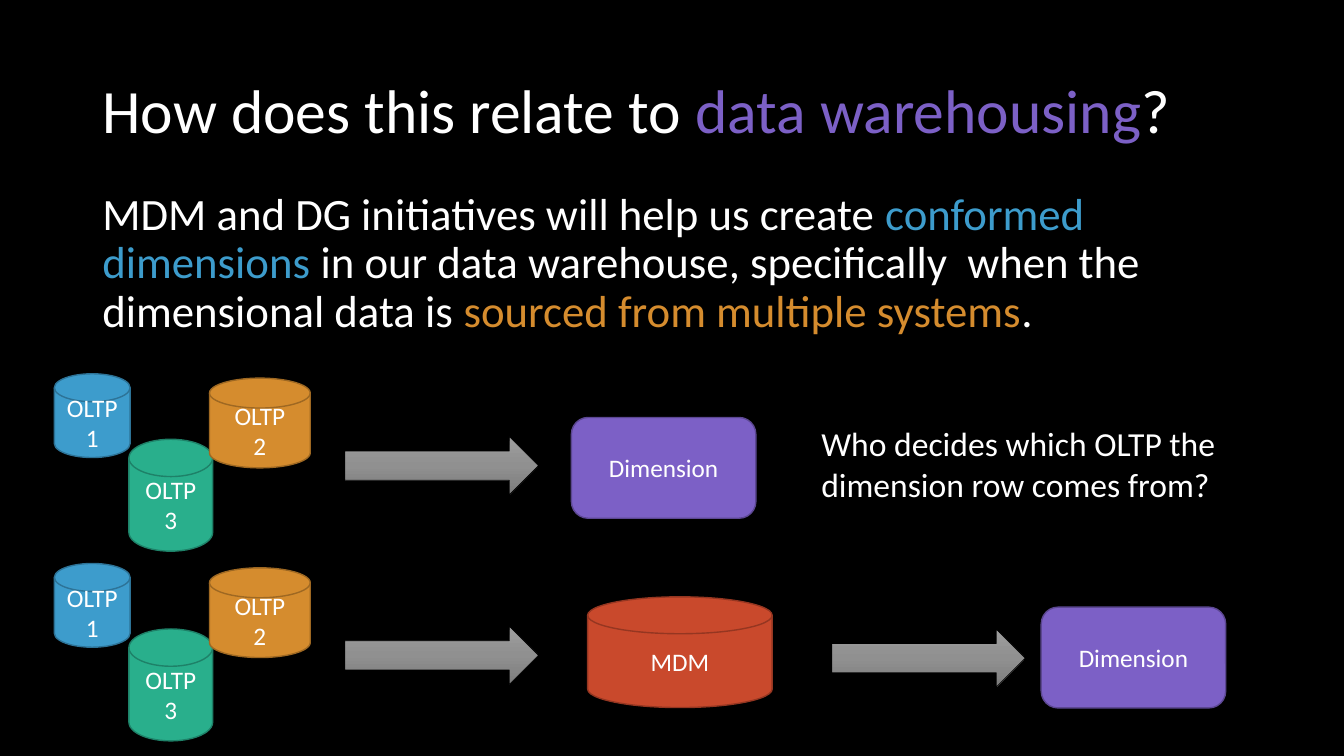
from copy import deepcopy
from dataclasses import dataclass

from pptx import Presentation
from pptx.dml.color import RGBColor
from pptx.enum.shapes import MSO_SHAPE
from pptx.enum.text import MSO_ANCHOR, PP_ALIGN
from pptx.oxml.ns import qn
from pptx.shapes.autoshape import Shape
from pptx.slide import Slide
from pptx.text.text import TextFrame
from pptx.util import Cm, Pt

FONT = "Calibri"
ROW_PITCH = 4.78
COLORS = {
    "black": "000000",
    "white": "FFFFFF",
    "blue": "3D9CCC",
    "blue_edge": "2D7397",
    "green": "29AF8C",
    "green_edge": "1E8168",
    "orange": "D58C2E",
    "orange_edge": "9E6822",
    "purple": "7C60C6",
    "purple_edge": "5C4792",
    "red": "C9492C",
    "red_edge": "953621",
    "gray_light": "9D9D9D",
    "gray_mid": "909090",
    "gray_dark": "7C7C7C",
}


@dataclass(frozen=True)
class Area:
    left: float
    top: float
    width: float
    height: float


@dataclass(frozen=True)
class Node:
    label: str
    color: str
    area: Area
    kind: MSO_SHAPE = MSO_SHAPE.FLOWCHART_MAGNETIC_DISK


@dataclass(frozen=True)
class Phrase:
    text: str
    color: str = "white"


SOURCES = (
    Node("OLTP\v1", "blue", Area(1.37, 9.42, 1.91, 2.11)),
    Node("OLTP\v3", "green", Area(3.25, 11.07, 2.11, 2.82)),
    Node("OLTP\v2", "orange", Area(5.28, 9.53, 2.54, 2.26)),
)
TARGETS = (
    Node("Dimension", "purple", Area(14.4, 10.52, 4.65, 2.54), MSO_SHAPE.ROUNDED_RECTANGLE),
    Node("Dimension", "purple", Area(26.24, 15.3, 4.65, 2.54), MSO_SHAPE.ROUNDED_RECTANGLE),
    Node("MDM", "red", Area(14.81, 15.04, 4.65, 2.79)),
)
ARROWS = ((8.69, 11), (8.69, 11 + ROW_PITCH), (20.96, 15.85))
TITLE = (
    Phrase("How does this relate to "),
    Phrase("data warehousing", "purple"),
    Phrase("?"),
)
STATEMENT = (
    Phrase("MDM and DG initiatives will help us create "),
    Phrase("conformed dimensions", "blue"),
    Phrase(" in our data warehouse, specifically  when the dimensional data is "),
    Phrase("sourced from multiple systems", "orange"),
    Phrase("."),
)
QUESTION = "Who decides which OLTP the \vdimension row comes from?"


def color_of(name: str) -> RGBColor:
    """Look up a named colour."""
    return RGBColor.from_string(COLORS[name])


def lengths(area: Area) -> tuple[Cm, Cm, Cm, Cm]:
    """Convert an area to slide lengths."""
    return Cm(area.left), Cm(area.top), Cm(area.width), Cm(area.height)


def format_text(frame: TextFrame, size: int) -> None:
    """Give every run the slide font, a size and white."""
    for para in frame.paragraphs:
        for span in para.runs:
            span.font.name = FONT
            span.font.size = Pt(size)
            span.font.color.rgb = color_of("white")


def write_phrases(frame: TextFrame, phrases: tuple[Phrase, ...], size: int) -> None:
    """Write one left-aligned paragraph with coloured phrases."""
    frame.word_wrap = True
    para = frame.paragraphs[0]
    para.alignment = PP_ALIGN.LEFT
    para.line_spacing = 0.9
    for phrase in phrases:
        para.add_run().text = phrase.text
    format_text(frame, size)
    for span, phrase in zip(para.runs, phrases):
        span.font.color.rgb = color_of(phrase.color)


def add_shape(slide: Slide, kind: MSO_SHAPE, area: Area, edge: str, weight: float) -> Shape:
    """Add an outlined shape without a shadow."""
    shape = slide.shapes.add_shape(kind, *lengths(area))
    shape.shadow.inherit = False
    shape.line.color.rgb = color_of(edge)
    shape.line.width = Pt(weight)
    return shape


def add_node(slide: Slide, node: Node, drop: float = 0) -> None:
    """Add a labelled system, moved down by the given drop."""
    area = Area(node.area.left, node.area.top + drop, node.area.width, node.area.height)
    shape = add_shape(slide, node.kind, area, f"{node.color}_edge", 1)
    shape.fill.solid()
    shape.fill.fore_color.rgb = color_of(node.color)
    frame = shape.text_frame
    frame.word_wrap = True
    frame.vertical_anchor = MSO_ANCHOR.MIDDLE
    frame.paragraphs[0].text = node.label
    frame.paragraphs[0].alignment = PP_ALIGN.CENTER
    format_text(frame, 18)


def add_arrow(slide: Slide, left: float, top: float) -> None:
    """Add a block arrow with a three-stop gray gradient."""
    arrow = add_shape(slide, MSO_SHAPE.RIGHT_ARROW, Area(left, top, 4.88, 1.47), "black", 0.5)
    arrow.fill.gradient()
    arrow.fill.gradient_angle = 270
    stop_list = arrow._element.spPr.find(qn("a:gradFill")).find(qn("a:gsLst"))
    stop_list.insert(1, deepcopy(stop_list[0]))
    shades = ("gray_light", "gray_mid", "gray_dark")
    for index, (stop, shade) in enumerate(zip(arrow.fill.gradient_stops, shades)):
        stop.position = index / 2
        stop.color.rgb = color_of(shade)


def add_texts(slide: Slide) -> None:
    """Fill the title and add the statement and the question."""
    title = slide.shapes.title
    title.left, title.top, title.width, title.height = lengths(Area(2.33, 1.02, 29.21, 3.68))
    title.text_frame.vertical_anchor = MSO_ANCHOR.MIDDLE
    write_phrases(title.text_frame, TITLE, 44)
    statement = slide.shapes.add_textbox(*lengths(Area(2.33, 4.7, 29.21, 4.42)))
    write_phrases(statement.text_frame, STATEMENT, 32)
    statement.text_frame.paragraphs[0].space_before = Pt(10)
    question = slide.shapes.add_textbox(*lengths(Area(20.45, 10.54, 10.72, 2.31)))
    question.text_frame.word_wrap = False
    question.text_frame.paragraphs[0].text = QUESTION
    format_text(question.text_frame, 24)


def main() -> None:
    """Build and save the slide."""
    deck = Presentation()
    deck.slide_width, deck.slide_height = Cm(33.87), Cm(19.05)
    page = deck.slides.add_slide(deck.slide_layouts[5])
    page.background.fill.solid()
    page.background.fill.fore_color.rgb = color_of("black")
    add_texts(page)
    for drop in (0, ROW_PITCH):
        for source in SOURCES:
            add_node(page, source, drop)
    for left, top in ARROWS:
        add_arrow(page, left, top)
    for target in TARGETS:
        add_node(page, target)
    deck.save("out.pptx")


if __name__ == "__main__":
    main()
